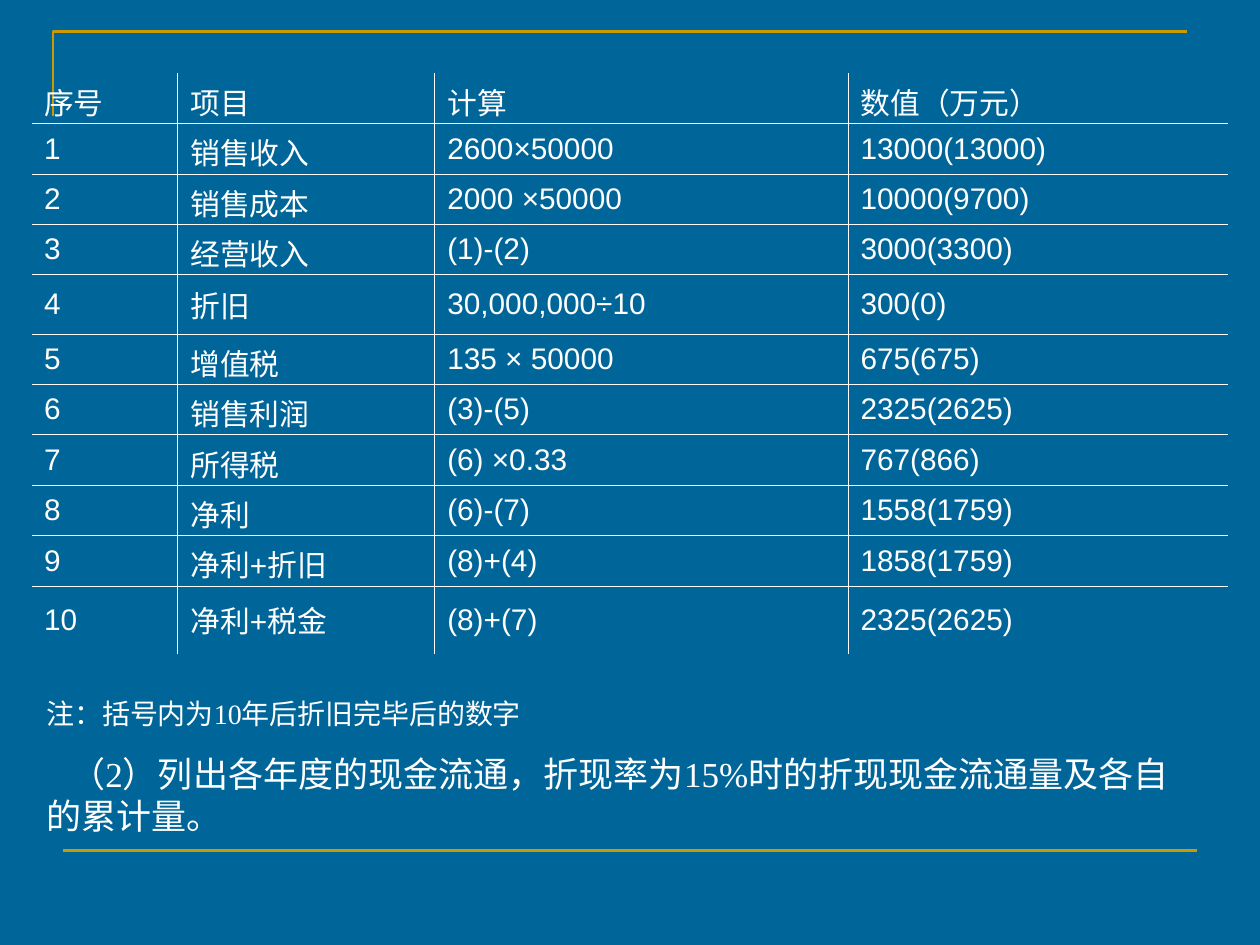
from dataclasses import dataclass

from lxml import etree
from pptx import Presentation
from pptx.dml.color import RGBColor
from pptx.enum.shapes import MSO_CONNECTOR
from pptx.enum.text import MSO_ANCHOR
from pptx.oxml.ns import qn
from pptx.util import Inches, Pt

STRAIGHT = MSO_CONNECTOR.STRAIGHT
MIDDLE = MSO_ANCHOR.MIDDLE


@dataclass(frozen=True)
class Theme:
    background: str = "006699"
    accent: str = "CC9900"
    ink: str = "FFFFFF"
    table_font: str = "Arial"
    body_font: str = "Times New Roman"
    table_size: float = 17
    note_size: float = 16
    task_size: float = 20
    rule_width: float = 1.5
    grid_width: float = 0.45


@dataclass(frozen=True)
class Entry:
    number: str
    item: str
    formula: str
    value: str
    height: float = 0.4

    def texts(self) -> tuple:
        return self.number, self.item, self.formula, self.value


THEME = Theme()
COMPACT_HEIGHT = 0.4
COLUMNS = (1.16, 2.04, 3.28, 3.02)
ENTRIES = (
    Entry("序号", "项目", "计算", "数值（万元）"),
    Entry("1", "销售收入", "2600×50000", "13000(13000)"),
    Entry("2", "销售成本", "2000 ×50000", "10000(9700)"),
    Entry("3", "经营收入", "(1)-(2)", "3000(3300)"),
    Entry("4", "折旧", "30,000,000÷10", "300(0)", 0.47),
    Entry("5", "增值税", "135 × 50000", "675(675)"),
    Entry("6", "销售利润", "(3)-(5)", "2325(2625)"),
    Entry("7", "所得税", "(6) ×0.33", "767(866)"),
    Entry("8", "净利", "(6)-(7)", "1558(1759)"),
    Entry("9", "净利+折旧", "(8)+(4)", "1858(1759)"),
    Entry("10", "净利+税金", "(8)+(7)", "2325(2625)", 0.54),
)


def write_text(paragraph, text: str, *, size: float, font: str,
               before: float, indent: float = 0) -> None:
    paragraph.space_before = Pt(before)
    if indent:
        paragraph._p.get_or_add_pPr().set("indent", str(Inches(indent)))
    run = paragraph.add_run()
    run.text = text
    run.font.size = Pt(size)
    run.font.name = font
    run.font.color.rgb = RGBColor.from_string(THEME.ink)


def style_rule(shape) -> None:
    shape.line.color.rgb = RGBColor.from_string(THEME.accent)
    shape.line.width = Pt(THEME.rule_width)


def draw_frame(slide) -> None:
    builder = slide.shapes.build_freeform(Inches(0.42), Inches(0.92))
    builder.add_line_segments(
        [(Inches(0.42), Inches(0.25)), (Inches(9.42), Inches(0.25))], close=False)
    corner = builder.convert_to_shape()
    corner.shadow.inherit = False
    corner.fill.background()
    style_rule(corner)
    footer = slide.shapes.add_connector(
        STRAIGHT, Inches(0.5), Inches(6.75), Inches(9.5), Inches(6.75))
    style_rule(footer)
    etree.SubElement(footer._element.spPr, qn("a:effectLst"))


def set_borders(cell, visible: dict) -> None:
    properties = cell._tc.get_or_add_tcPr()
    for position, (side, shown) in enumerate(visible.items()):
        border = etree.Element(qn(f"a:ln{side}"), w=str(Pt(THEME.grid_width)))
        if shown:
            fill = etree.SubElement(border, qn("a:solidFill"))
            etree.SubElement(fill, qn("a:srgbClr"), val=THEME.ink)
        else:
            etree.SubElement(border, qn("a:noFill"))
        properties.insert(position, border)


def draw_table(slide) -> None:
    heights = [entry.height for entry in ENTRIES]
    table = slide.shapes.add_table(
        len(ENTRIES), len(COLUMNS), Inches(0.25), Inches(0.58),
        Inches(sum(COLUMNS)), Inches(sum(heights))).table
    table.first_row = False
    table.horz_banding = False
    for column, width in zip(table.columns, COLUMNS):
        column.width = Inches(width)
    for row_index, entry in enumerate(ENTRIES):
        table.rows[row_index].height = Inches(entry.height)
        for column_index, text in enumerate(entry.texts()):
            cell = table.cell(row_index, column_index)
            cell.vertical_anchor = MIDDLE
            cell.fill.background()
            is_label = row_index == 0 or column_index == 1
            if is_label and entry.height <= COMPACT_HEIGHT:
                cell.margin_bottom = 0
            write_text(cell.text_frame.paragraphs[0], text,
                       size=THEME.table_size, font=THEME.table_font, before=4.2)
            set_borders(cell, {
                "L": column_index > 0,
                "R": column_index < len(COLUMNS) - 1,
                "T": row_index > 0,
                "B": row_index < len(ENTRIES) - 1,
            })


def draw_notes(slide) -> None:
    frame = slide.shapes.add_textbox(
        Inches(0.27), Inches(5.48), Inches(9.17), Inches(1.21)).text_frame
    frame.word_wrap = True
    write_text(frame.paragraphs[0], "注：括号内为10年后折旧完毕后的数字",
               size=THEME.note_size, font=THEME.body_font, before=10)
    write_text(frame.add_paragraph(),
               "（2）列出各年度的现金流通，折现率为15%时的折现现金流通量及各自的累计量。",
               size=THEME.task_size, font=THEME.body_font, before=12.5, indent=0.19)


def main() -> None:
    presentation = Presentation()
    presentation.slide_width = Inches(10)
    presentation.slide_height = Inches(7.5)
    slide = presentation.slides.add_slide(presentation.slide_layouts[6])
    slide.background.fill.solid()
    slide.background.fill.fore_color.rgb = RGBColor.from_string(THEME.background)
    draw_frame(slide)
    draw_table(slide)
    draw_notes(slide)
    presentation.save("out.pptx")


main()
